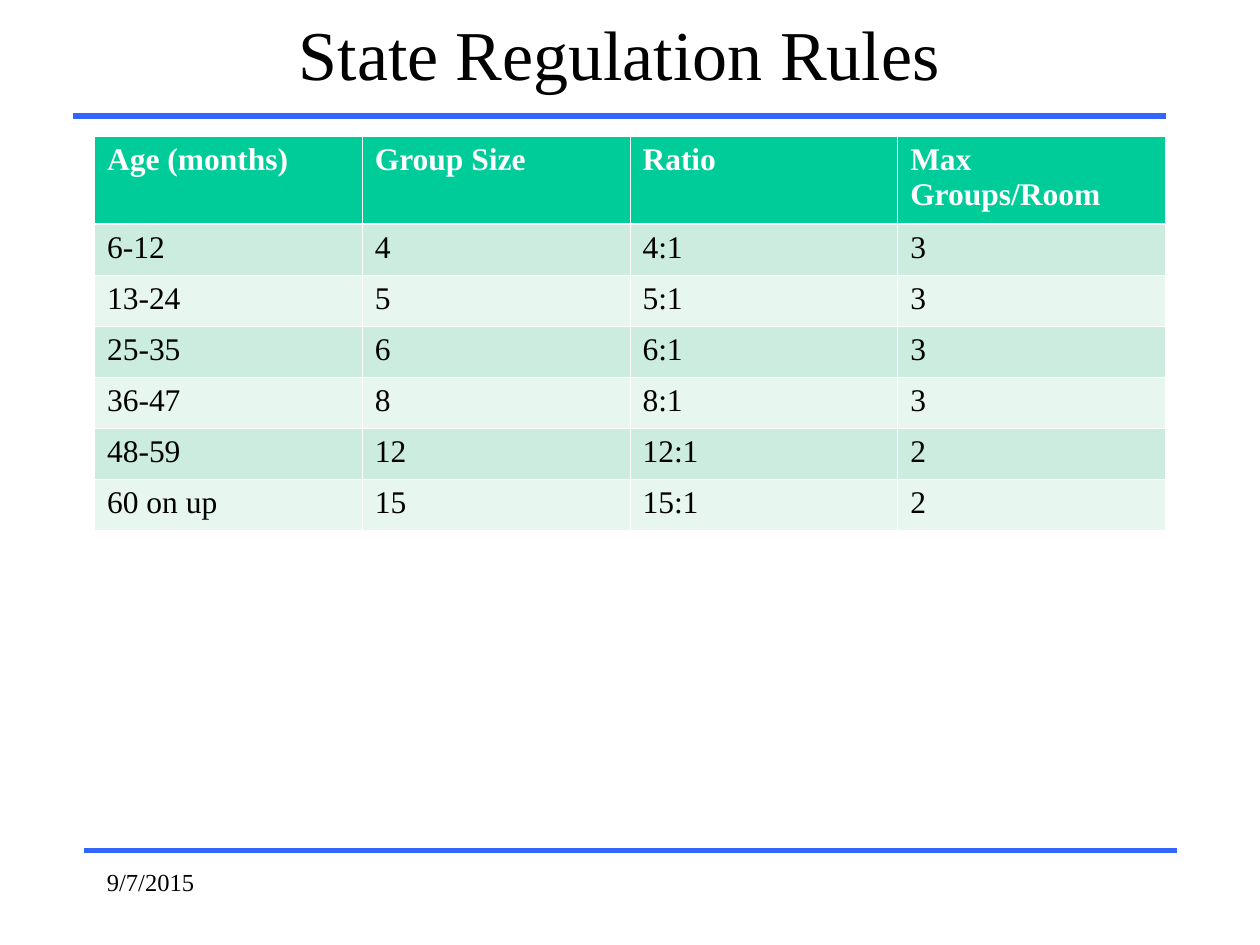
"""Build the State Regulation Rules slide with its table of group sizes and ratios."""
import lxml.etree
import pptx
import pptx.dml.color
import pptx.enum.shapes
import pptx.enum.text
import pptx.oxml.ns
import pptx.util

Inches = pptx.util.Inches
Pt = pptx.util.Pt
qn = pptx.oxml.ns.qn
Color = pptx.dml.color.RGBColor.from_string

THEME = {
    "font": "Times New Roman",
    "ink": "000000",
    "paper": "FFFFFF",
    "rule": "3366FF",
    "header": "00CC99",
    "bands": ("CBECDE", "E7F6EF"),
    "title_size": 40,
    "table_size": 18,
    "date_size": 14,
    "rule_width": 3,
    "grid_width": 0.45,
    "header_width": 1.47,
}

RULES = [
    ("Age (months)", "Group Size", "Ratio", "Max Groups/Room"),
    ("6-12", "4", "4:1", "3"),
    ("13-24", "5", "5:1", "3"),
    ("25-35", "6", "6:1", "3"),
    ("36-47", "8", "8:1", "3"),
    ("48-59", "12", "12:1", "2"),
    ("60 on up", "15", "15:1", "2"),
]


def write(frame, text, size, color="ink", bold=False):
    """Put one formatted span of text into a frame."""
    span = frame.paragraphs[0].add_run()
    span.text = text
    span.font.color.rgb = Color(THEME[color])
    values = {"name": THEME["font"], "size": Pt(THEME[size]), "bold": bold}
    for name, value in values.items():
        setattr(span.font, name, value)


def add_border(cell, side, width):
    """Draw one edge of a table cell."""
    properties = cell._tc.get_or_add_tcPr()
    edge = lxml.etree.SubElement(properties, qn(f"a:{side}"), w=str(Pt(width)))
    fill = lxml.etree.SubElement(edge, qn("a:solidFill"))
    lxml.etree.SubElement(fill, qn("a:srgbClr"), val=THEME["paper"])


deck = pptx.Presentation()
deck.slide_width = Inches(10)
deck.slide_height = Inches(7.5)
page = deck.slides.add_slide(deck.slide_layouts[5])

for left, top in ((0.67, 6.75), (0.58, 0.92)):
    rule = page.shapes.add_connector(
        pptx.enum.shapes.MSO_CONNECTOR.STRAIGHT,
        Inches(left), Inches(top), Inches(left + 8.67), Inches(top),
    )
    rule.line.color.rgb = Color(THEME["rule"])
    rule.line.width = Pt(THEME["rule_width"])
    lxml.etree.SubElement(rule._element.spPr, qn("a:effectLst"))

title = page.shapes.title
place = {"left": 0.58, "top": 0, "width": 8.67, "height": 0.83}
for name, value in place.items():
    setattr(title, name, Inches(value))
title.text_frame.vertical_anchor = pptx.enum.text.MSO_ANCHOR.MIDDLE
title.text_frame.paragraphs[0].alignment = pptx.enum.text.PP_ALIGN.CENTER
write(title.text_frame, "State Regulation Rules", "title_size")

table = page.shapes.add_table(
    len(RULES), len(RULES[0]), Inches(0.75), Inches(1.08), Inches(8.5), Inches(3.13)
).table
for index, row in enumerate(table.rows):
    row.height = Inches(0.405 if index else 0.7)
    for cell, text in zip(row.cells, RULES[index]):
        edges = dict.fromkeys(("lnL", "lnR", "lnT", "lnB"), THEME["grid_width"])
        if index < 2:
            edges["lnT" if index else "lnB"] = THEME["header_width"]
        for side, width in edges.items():
            add_border(cell, side, width)
        cell.fill.solid()
        fill = THEME["bands"][(index - 1) % 2] if index else THEME["header"]
        cell.fill.fore_color.rgb = Color(fill)
        write(cell.text_frame, text, "table_size", "ink" if index else "paper", index == 0)

date = page.shapes.add_textbox(Inches(0.75), Inches(6.83), Inches(2.08), Inches(0.5))
date.text_frame.word_wrap = True
write(date.text_frame, "9/7/2015", "date_size")

deck.save("out.pptx")
